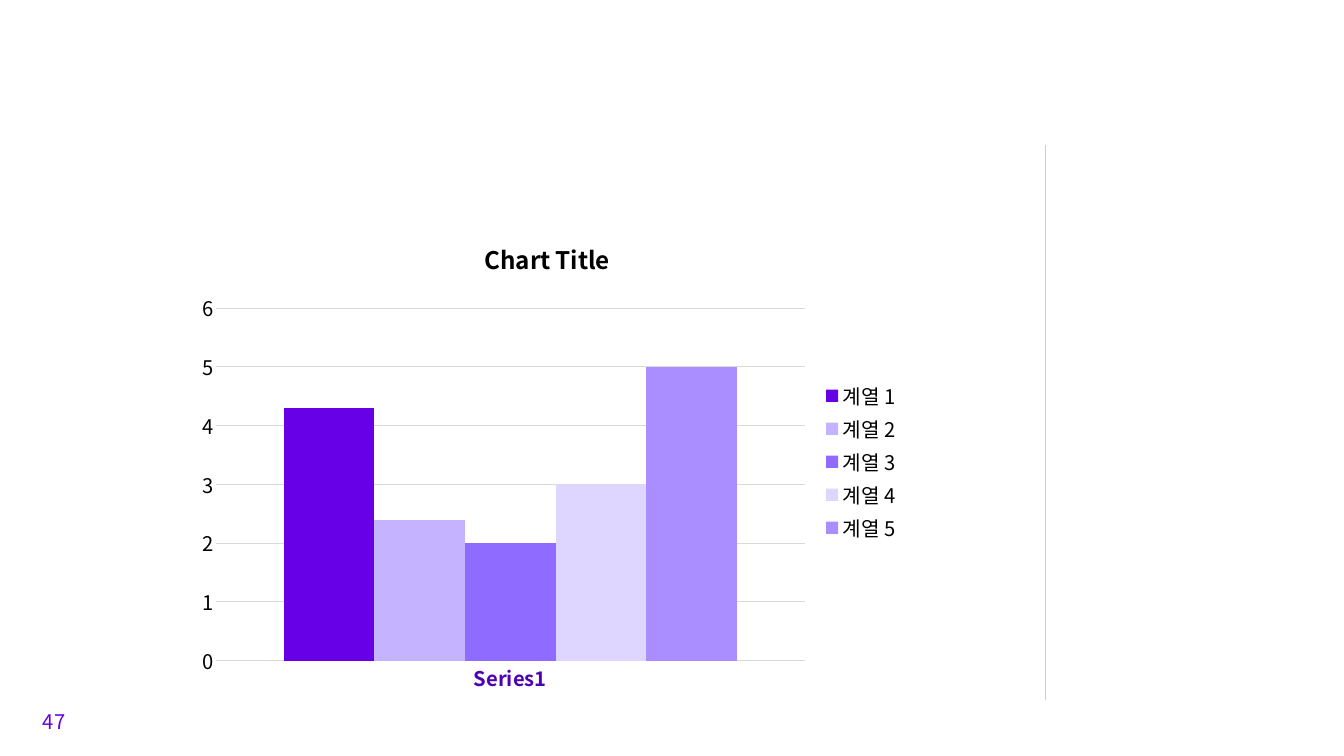
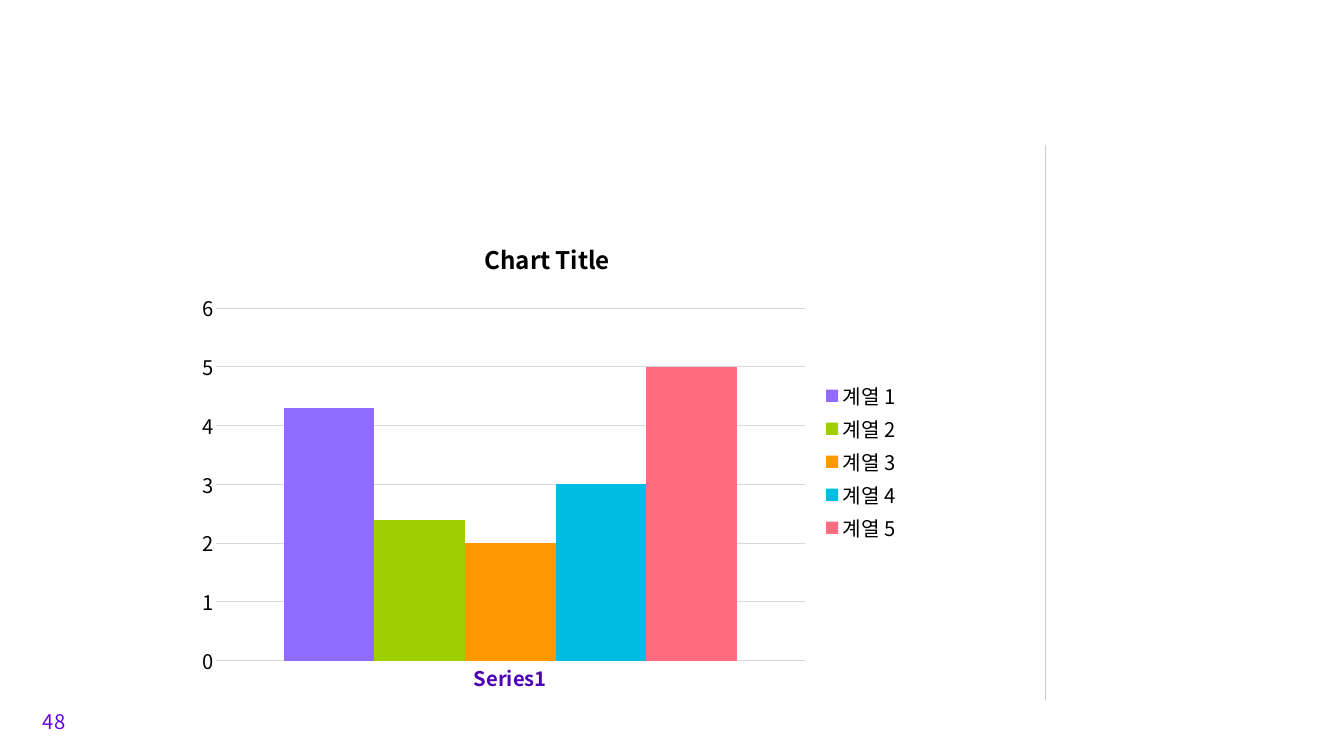
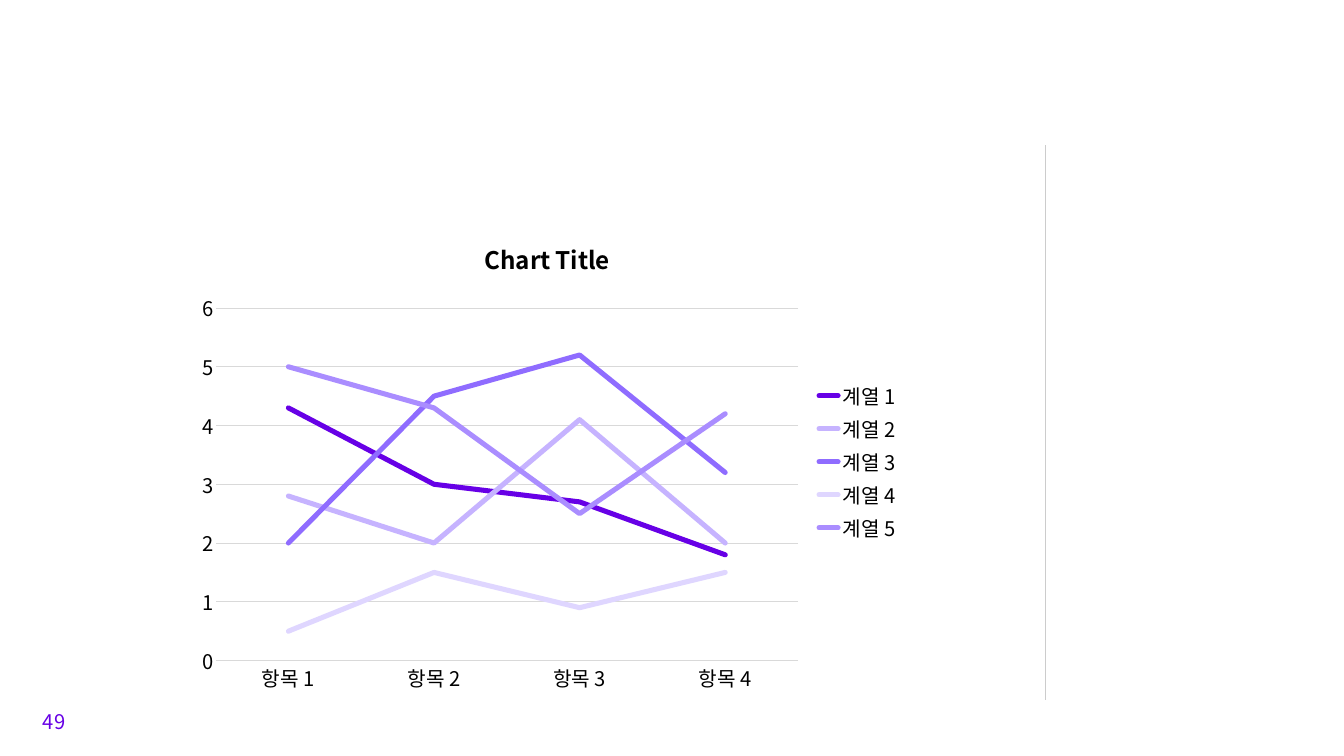
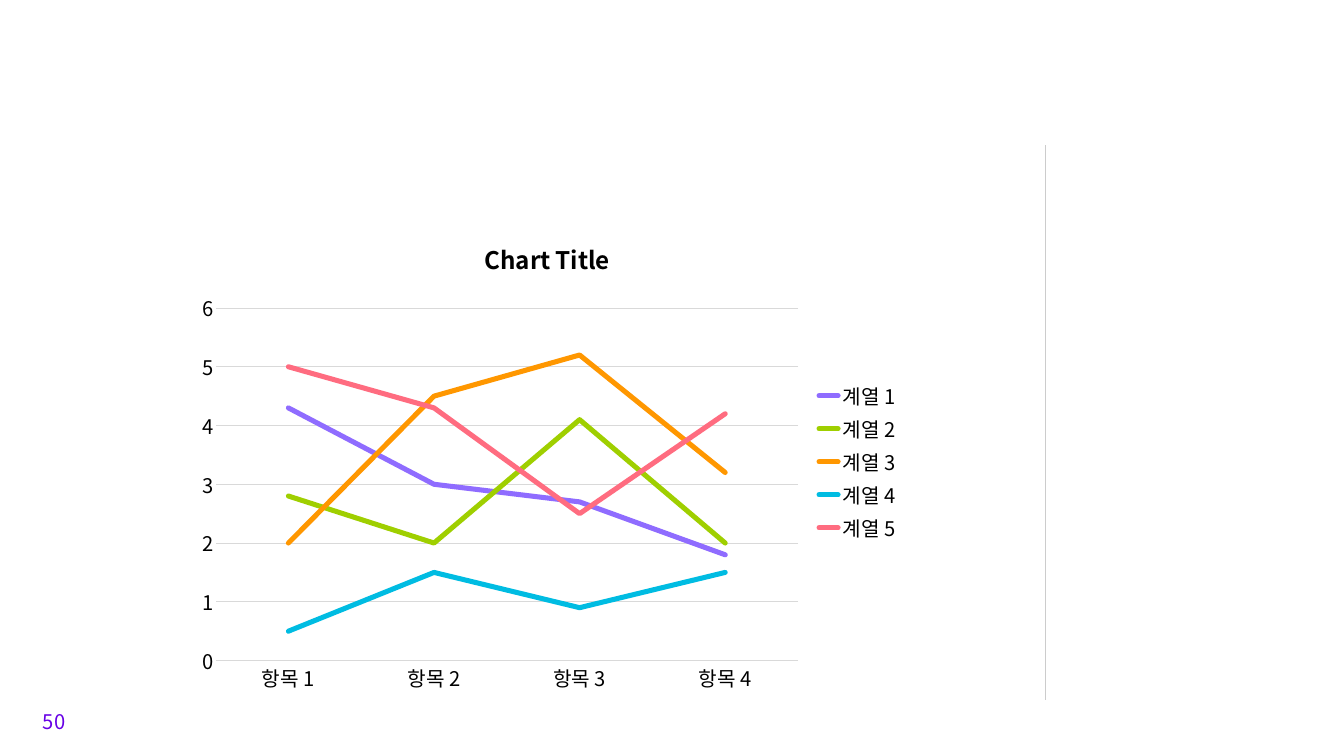
from lxml import etree
from pptx import Presentation
from pptx.chart.data import CategoryChartData
from pptx.dml.color import RGBColor
from pptx.enum.chart import XL_CHART_TYPE, XL_LEGEND_POSITION, XL_TICK_MARK
from pptx.enum.shapes import MSO_CONNECTOR
from pptx.enum.text import MSO_ANCHOR
from pptx.oxml.ns import qn
from pptx.util import Inches, Pt

COLUMNS = XL_CHART_TYPE.COLUMN_CLUSTERED
LINES = XL_CHART_TYPE.LINE
LEGEND_RIGHT = XL_LEGEND_POSITION.RIGHT
NO_TICK = XL_TICK_MARK.NONE
STRAIGHT = MSO_CONNECTOR.STRAIGHT
MIDDLE = MSO_ANCHOR.MIDDLE

FONT = "Noto Sans CJK KR"
BLACK = RGBColor(0x00, 0x00, 0x00)
VIOLET = RGBColor(0x67, 0x00, 0xE6)
DARK_VIOLET = RGBColor(0x4E, 0x00, 0xB4)
DIVIDER_GRAY = RGBColor(0xCC, 0xCC, 0xCC)
GRID_GRAY = RGBColor(0xD9, 0xD9, 0xD9)
LAVENDER = RGBColor(0x8F, 0x6C, 0xFF)

PURPLES = [
    VIOLET,
    RGBColor(0xC6, 0xB3, 0xFF),
    LAVENDER,
    RGBColor(0xDF, 0xD6, 0xFF),
    RGBColor(0xAA, 0x8D, 0xFF),
]
BRIGHTS = [
    LAVENDER,
    RGBColor(0x9F, 0xCF, 0x00),
    RGBColor(0xFF, 0x97, 0x00),
    RGBColor(0x00, 0xBC, 0xE2),
    RGBColor(0xFF, 0x6C, 0x80),
]

BODY = {"name": FONT, "size": Pt(24), "bold": False}
TITLE = {"name": FONT, "size": Pt(28.8), "bold": True}
CATEGORY = {"name": FONT, "size": Pt(24), "bold": True}

COLUMN_CATEGORIES = ["Series1"]
COLUMN_VALUES = [[4.3], [2.4], [2], [3], [5]]
LINE_CATEGORIES = [f"항목 {n}" for n in range(1, 5)]
LINE_VALUES = [
    [4.3, 3, 2.7, 1.8],
    [2.8, 2, 4.1, 2],
    [2, 4.5, 5.2, 3.2],
    [0.5, 1.5, 0.9, 1.5],
    [5, 4.3, 2.5, 4.2],
]

FIRST_PAGE = 47


def style_font(font, style, color):
    for attribute, value in style.items():
        setattr(font, attribute, value)
    font.color.rgb = color


def style_line(line, color, width):
    line.color.rgb = color
    line.width = Pt(width)


def add_divider(slide):
    x = Inches(17.28)
    divider = slide.shapes.add_connector(STRAIGHT, x, Inches(2.4), x, Inches(11.58))
    style_line(divider.line, DIVIDER_GRAY, 1.25)
    etree.SubElement(divider._element.spPr, qn("a:effectLst"))


def add_page_number(slide, number):
    box = slide.shapes.add_textbox(Inches(0.61), Inches(11.6), Inches(5), Inches(0.67))
    frame = box.text_frame
    frame.word_wrap = True
    frame.vertical_anchor = MIDDLE
    run = frame.paragraphs[0].add_run()
    run.text = str(number)
    style_font(run.font, BODY, VIOLET)


def style_axes(chart, is_columns):
    categories, values = chart.category_axis, chart.value_axis
    for axis in (categories, values):
        axis.major_tick_mark = NO_TICK
        axis.minor_tick_mark = NO_TICK
        style_font(axis.tick_labels.font, BODY, BLACK)
    if is_columns:
        style_font(categories.tick_labels.font, CATEGORY, DARK_VIOLET)
    style_line(categories.format.line, GRID_GRAY, 0.75)
    values.minimum_scale = 0
    values.maximum_scale = 6
    values.major_unit = 1
    values.format.line.fill.background()
    style_line(values.major_gridlines.format.line, GRID_GRAY, 0.75)


def style_series(plot, palette, is_columns):
    for series, color in zip(plot.series, palette):
        if is_columns:
            series.format.fill.solid()
            series.format.fill.fore_color.rgb = color
        else:
            series.smooth = False
            style_line(series.format.line, color, 6)
            series._element.xpath("c:spPr/a:ln")[0].set("cap", "rnd")


def set_korean_font(chart):
    """Give Hangul the same typeface as Latin text."""
    for latin in chart._chartSpace.xpath(".//a:latin"):
        hangul = etree.Element(qn("a:ea"))
        hangul.set("typeface", FONT)
        latin.addnext(hangul)


def add_series_chart(slide, kind, categories, rows, palette):
    data = CategoryChartData()
    data.categories = categories
    for number, row in enumerate(rows, 1):
        data.add_series(f"계열 {number}", row)
    chart = slide.shapes.add_chart(
        kind, Inches(3.1), Inches(3.67), Inches(11.89), Inches(7.93), data
    ).chart
    is_columns = kind == COLUMNS
    style_font(chart.font, BODY, BLACK)

    chart.has_title = True
    title = chart.chart_title.text_frame.paragraphs[0].add_run()
    title.text = "Chart Title"
    style_font(title.font, TITLE, BLACK)

    chart.has_legend = True
    chart.legend.position = LEGEND_RIGHT
    chart.legend.include_in_layout = False
    style_font(chart.legend.font, BODY, BLACK)

    plot = chart.plots[0]
    plot.vary_by_categories = False
    if is_columns:
        plot.gap_width = 150
    style_axes(chart, is_columns)
    style_series(plot, palette, is_columns)
    set_korean_font(chart)


def main():
    deck = Presentation()
    deck.slide_width = Inches(22.21)
    deck.slide_height = Inches(12.5)
    blank = deck.slide_layouts[6]
    charts = [
        (COLUMNS, COLUMN_CATEGORIES, COLUMN_VALUES, PURPLES),
        (COLUMNS, COLUMN_CATEGORIES, COLUMN_VALUES, BRIGHTS),
        (LINES, LINE_CATEGORIES, LINE_VALUES, PURPLES),
        (LINES, LINE_CATEGORIES, LINE_VALUES, BRIGHTS),
    ]
    for page, chart in enumerate(charts, FIRST_PAGE):
        slide = deck.slides.add_slide(blank)
        add_divider(slide)
        add_page_number(slide, page)
        add_series_chart(slide, *chart)
    deck.save("out.pptx")


if __name__ == "__main__":
    main()
